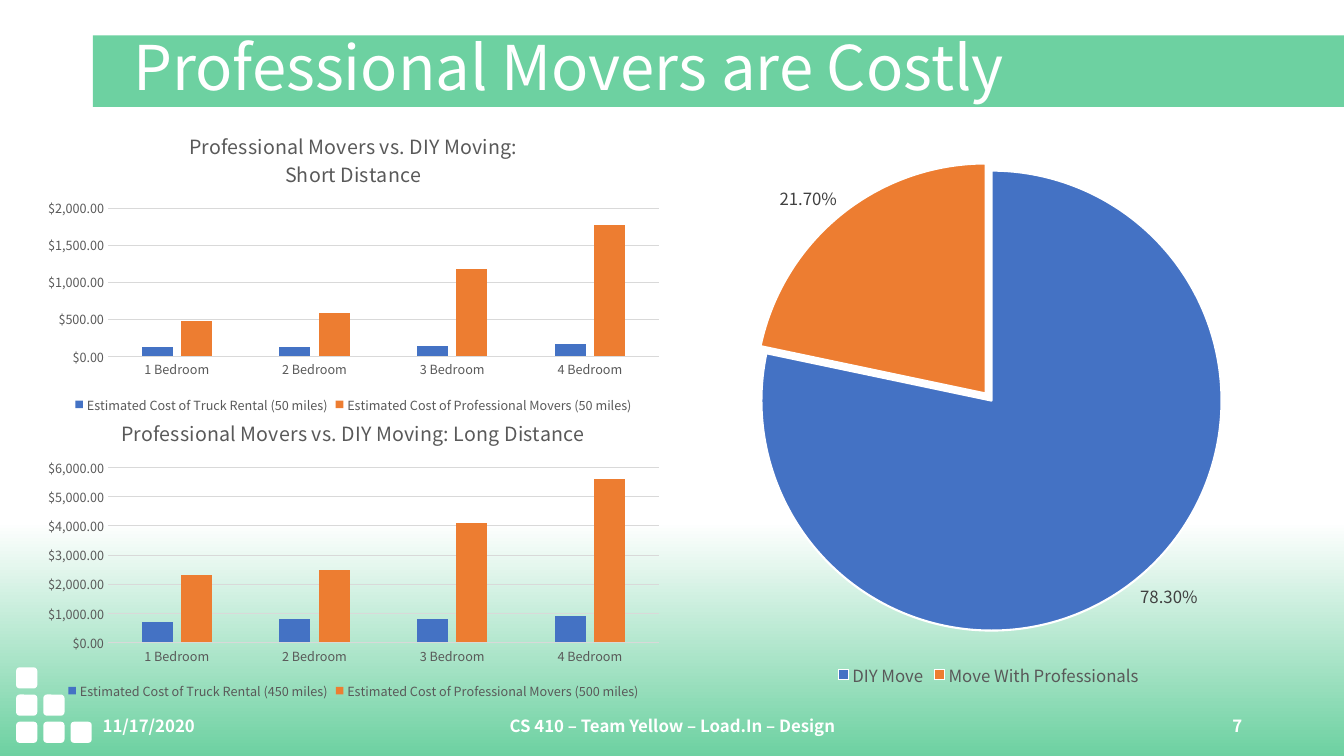
from lxml.etree import SubElement
from pptx import Presentation
from pptx.chart.data import CategoryChartData
from pptx.dml.color import RGBColor
from pptx.enum.chart import XL_CHART_TYPE, XL_LABEL_POSITION, XL_LEGEND_POSITION, XL_TICK_MARK
from pptx.enum.shapes import MSO_SHAPE
from pptx.enum.text import MSO_ANCHOR, MSO_AUTO_SIZE, PP_ALIGN
from pptx.oxml.ns import qn
from pptx.util import Inches, Pt

FACE = "Noto Sans CJK KR"
HUES = {"white": "FFFFFF", "green": "6DD1A1", "blue": "4472C4", "orange": "ED7D31",
        "gray": "595959", "dark": "404040", "rule": "D9D9D9"}
ROOMS = ["1 Bedroom", "2 Bedroom", "3 Bedroom", "4 Bedroom"]


def hue(name):
    """Return a named colour."""
    return RGBColor.from_string(HUES[name])


def paint(fill, name):
    """Make a fill solid in a named colour."""
    fill.solid()
    fill.fore_color.rgb = hue(name)


def style(font, size, name, bold=False):
    """Set face, size, colour and weight of a font."""
    font.name, font.size, font.bold = FACE, Pt(size), bold
    font.color.rgb = hue(name)


def place(box):
    """Turn a box in inches into lengths."""
    return [Inches(n) for n in box]


def back(slide):
    """Fade the slide from white to green at its foot."""
    fill = slide.background.fill
    fill.gradient()
    fill.gradient_angle = 270
    for stop, (name, spot) in zip(fill.gradient_stops, [("white", 0.69), ("green", 1)]):
        stop.color.rgb = hue(name)
        stop.position = spot


def head(slide, box, text):
    """Place the title on its green band."""
    title = slide.shapes.title
    title.left, title.top, title.width, title.height = place(box)
    paint(title.fill, "green")
    frame = title.text_frame
    frame.text = text
    frame.auto_size = MSO_AUTO_SIZE.NONE
    frame.vertical_anchor = MSO_ANCHOR.MIDDLE
    frame.margin_left = Inches(0.4)
    line = frame.paragraphs[0]
    line.alignment, line.line_spacing = PP_ALIGN.LEFT, 0.9
    style(line.font, 44, "white")


def stairs(slide, box, steps=3):
    """Stack white tiles into stairs that fall to the right."""
    left, top, size, pitch = box
    for row in range(steps):
        for col in range(row + 1):
            spot = place((left + col * pitch, top + row * pitch, size, size))
            tile = slide.shapes.add_shape(MSO_SHAPE.ROUNDED_RECTANGLE, *spot)
            tile.shadow.inherit = False
            paint(tile.fill, "white")
            tile.line.fill.background()


def foot(slide, box):
    """Place date, course and page number along the foot."""
    left, top, width, height = box
    parts = [("11/17/2020", 0, 3, PP_ALIGN.LEFT),
             ("CS 410 – Team Yellow – Load.In – Design", 3.5, 4.5, PP_ALIGN.CENTER),
             ("7", width - 3, 3, PP_ALIGN.RIGHT)]
    for text, shift, wide, side in parts:
        frame = slide.shapes.add_textbox(*place((left + shift, top, wide, height))).text_frame
        frame.word_wrap = True
        frame.vertical_anchor = MSO_ANCHOR.MIDDLE
        line = frame.paragraphs[0]
        line.text, line.alignment = text, side
        style(line.font, 12, "white", True)


def graph(slide, box, kind, cats, rows, size):
    """Add a chart with a legend below it."""
    data = CategoryChartData()
    data.categories = cats
    for name, vals in rows:
        data.add_series(name, vals)
    chart = slide.shapes.add_chart(kind, *place(box), data).chart
    chart.font.name, chart.font.size = FACE, Pt(10)
    chart.has_title = False
    chart.has_legend = True
    chart.legend.position = XL_LEGEND_POSITION.BOTTOM
    chart.legend.include_in_layout = False
    style(chart.legend.font, size, "gray")
    return chart


def bars(slide, box, title, rows, top, step):
    """Add a column chart of costs by number of bedrooms."""
    chart = graph(slide, box, XL_CHART_TYPE.COLUMN_CLUSTERED, ROOMS, rows, 9)
    chart.has_title = True
    frame = chart.chart_title.text_frame
    frame.text = title
    for line in frame.paragraphs:
        style(line.font, 14, "gray")
    plot = chart.plots[0]
    plot.gap_width, plot.overlap, plot.vary_by_categories = 219, -27, False
    for row, name in zip(plot.series, ["blue", "orange"]):
        paint(row.format.fill, name)
        row.invert_if_negative = False
    cost = chart.value_axis
    for axis in (chart.category_axis, cost):
        axis.major_tick_mark = axis.minor_tick_mark = XL_TICK_MARK.NONE
        style(axis.tick_labels.font, 9, "gray")
    cost.minimum_scale, cost.maximum_scale, cost.major_unit = 0, top, step
    cost.tick_labels.number_format = "\\$#,##0.00"
    cost.tick_labels.number_format_is_linked = False
    cost.format.line.fill.background()
    for line in (chart.category_axis.format.line, cost.major_gridlines.format.line):
        line.color.rgb = hue("rule")
        line.width = Pt(0.75)


def pie(slide, box):
    """Add the pie of how people move."""
    chart = graph(slide, box, XL_CHART_TYPE.PIE, ["DIY Move", "Move With Professionals"],
                  [("Series 1", [78.3, 21.7])], 12)
    plot = chart.plots[0]
    plot.vary_by_categories = True
    row = plot.series[0]
    for spot, name in enumerate(["blue", "orange"]):
        form = row.points[spot].format
        paint(form.fill, name)
        form.line.color.rgb = hue("white")
        form.line.width = Pt(1.5)
    burst = SubElement(row._element, qn("c:explosion"), val="2")
    row._element.find(qn("c:tx")).addnext(burst)
    tags = row.data_labels
    tags.show_percentage, tags.show_value = True, False
    tags.number_format, tags.number_format_is_linked = "0.00%", False
    tags.position = XL_LABEL_POSITION.OUTSIDE_END
    style(tags.font, 12, "dark")


def main():
    """Build the slide and save it."""
    deck = Presentation()
    deck.slide_width, deck.slide_height = Inches(13.33), Inches(7.5)
    slide = deck.slides.add_slide(deck.slide_layouts[5])
    back(slide)
    head(slide, (0.92, 0.35, 12.41, 0.71), "Professional Movers are Costly")
    stairs(slide, (0.16, 6.62, 0.21, 0.27))
    foot(slide, (0.92, 6.9, 11.5, 0.6))
    truck, crew = "Estimated Cost of Truck Rental", "Estimated Cost of Professional Movers"
    lead = "Professional Movers vs. DIY Moving:"
    bars(slide, (0.35, 1.14, 6.31, 3), f"{lead}\nShort Distance",
         [(f"{truck} (50 miles)", [130, 130, 140, 160]),
          (f"{crew} (50 miles)", [480, 580, 1180, 1770])], 2000, 500)
    bars(slide, (0.35, 3.98, 6.31, 3), f"{lead} Long Distance",
         [(f"{truck} (450 miles)", [700, 800, 800, 900]),
          (f"{crew} (500 miles)", [2300, 2500, 4100, 5600])], 6000, 1000)
    pie(slide, (6.97, 1.42, 5.67, 5.44))
    deck.save("out.pptx")


if __name__ == "__main__":
    main()
